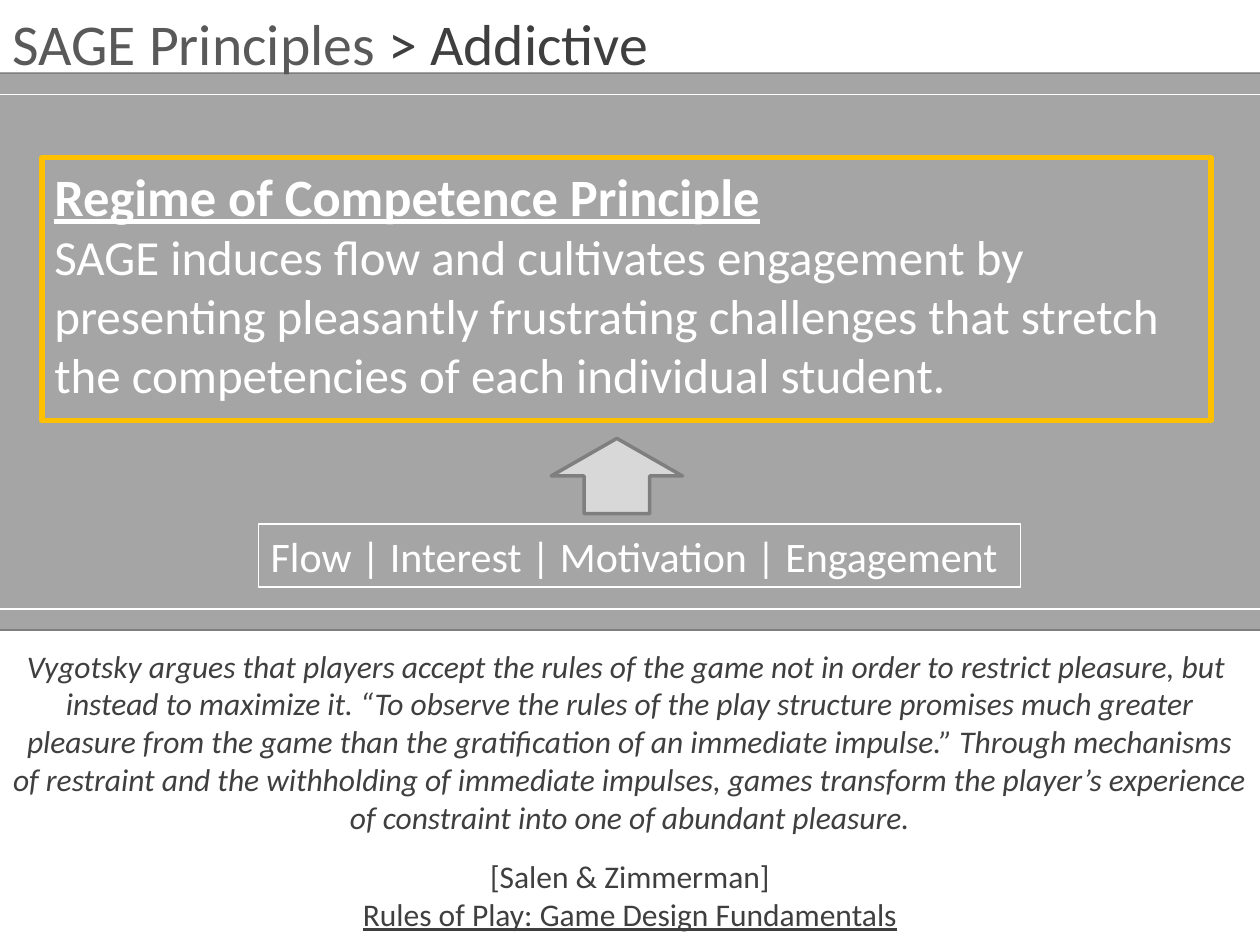
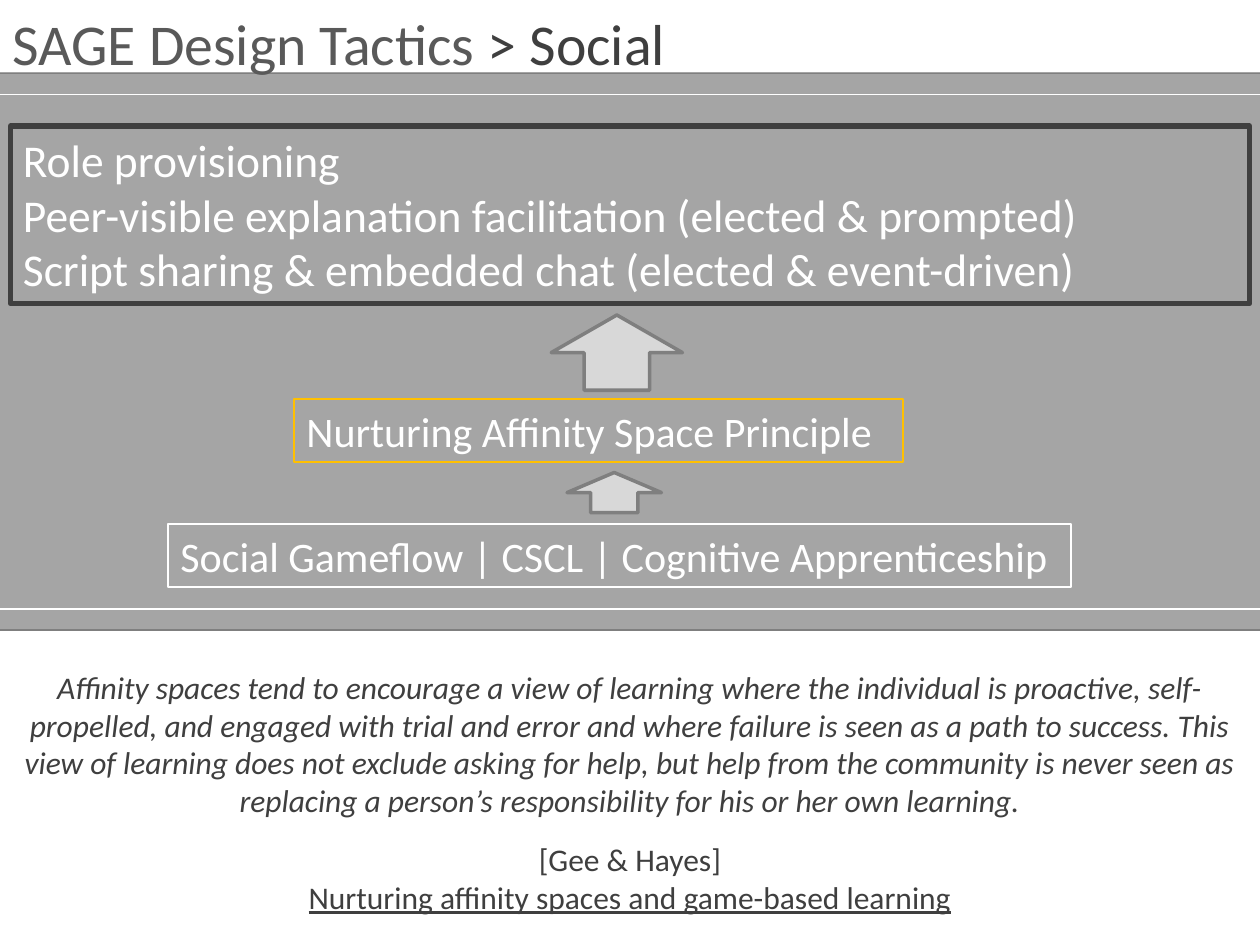
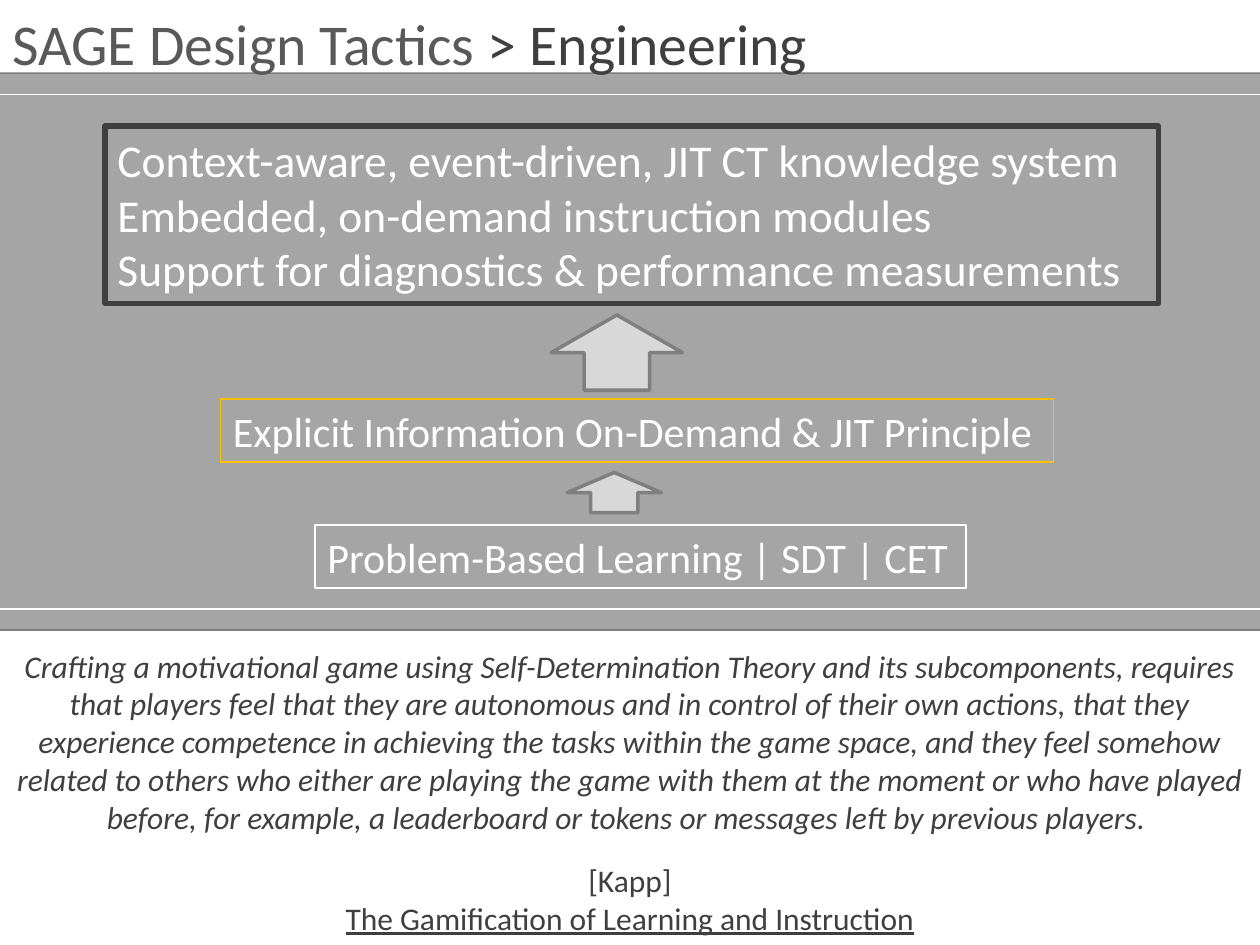
"""Build three slides on the principles and design tactics of SAGE."""
from lxml import etree
from pptx import Presentation
from pptx.dml.color import RGBColor
from pptx.enum.shapes import MSO_CONNECTOR, MSO_SHAPE
from pptx.enum.text import MSO_ANCHOR, PP_ALIGN
from pptx.oxml.ns import qn
from pptx.util import Pt

RECT, ARROW = MSO_SHAPE.RECTANGLE, MSO_SHAPE.UP_ARROW
LINE = MSO_CONNECTOR.STRAIGHT
TOP, LEFT, CENTER = MSO_ANCHOR.TOP, PP_ALIGN.LEFT, PP_ALIGN.CENTER


class Theme:
    font = "Calibri"
    white, band, dark, lead = "FFFFFF", "A5A5A5", "3F3F3F", "595959"
    edge, gold, pale = "7F7F7F", "FFC000", "D8D8D8"
    title = {"size": Pt(33)}
    quote = {"size": Pt(18), "italic": True}
    credit = {"size": Pt(18)}
    source = {"size": Pt(18), "underline": True}
    head = {"size": Pt(30), "bold": True, "underline": True}
    body = {"size": Pt(28)}
    tactic = {"size": Pt(26)}
    label = {"size": Pt(24)}


def write(shape, paras, align=LEFT):
    """Fill a shape with paragraphs, each a gap and a list of styled runs."""
    frame = shape.text_frame
    frame.word_wrap = True
    frame.vertical_anchor = TOP
    for index, (gap, runs) in enumerate(paras):
        para = frame.add_paragraph() if index else frame.paragraphs[0]
        para.alignment = align
        if gap:
            para.space_before = Pt(gap)
        for text, color, style in runs:
            run = para.add_run()
            run.text = text
            run.font.color.rgb = RGBColor.from_string(color)
            for key, value in {"name": Theme.font, **style}.items():
                setattr(run.font, key, value)


def draw(shapes, kind, place, fill, edge, weight):
    """Add a preset shape with the given fill and outline."""
    shape = shapes.add_shape(kind, *map(Pt, place))
    shape.shadow.inherit = False
    if fill:
        shape.fill.solid()
        shape.fill.fore_color.rgb = RGBColor.from_string(fill)
    else:
        shape.fill.background()
    shape.line.color.rgb = RGBColor.from_string(edge)
    shape.line.width = Pt(weight)
    return shape


RULES = [(54, Theme.white), (348, Theme.white), (42, Theme.edge), (360, Theme.edge)]
SMALL = (324, 270, 54, 23)
LARGE = (315, 180, 75, 43)

SLIDES = [
    {
        "title": ("SAGE Principles ", "> Addictive"),
        "top": 366, "height": 172, "gap": 12.2,
        "quote": [
            "Vygotsky argues that players accept the rules of the game not in order "
            "to restrict pleasure, but ",
            "instead to maximize it. “To observe the rules of the play structure "
            "promises much greater pleasure from the game than the gratification of "
            "an immediate impulse.” Through mechanisms of restraint and the "
            "withholding of immediate impulses, games transform the player’s "
            "experience of constraint into one of abundant pleasure.",
        ],
        "credit": "[Salen & Zimmerman]",
        "source": "Rules of Play: Game Design Fundamentals",
        "arrows": [(315, 250.5, 75, 43)],
        "boxes": [
            ((24, 90, 668, 150.5), Theme.gold, 3, [
                ("Regime of Competence Principle", Theme.head),
                ("SAGE induces flow and cultivates engagement by presenting "
                 "pleasantly frustrating challenges that stretch the competencies "
                 "of each individual student.", Theme.body)]),
            ((147.6, 299.5, 435.6, 36), Theme.white, 0.75, [
                ("Flow | Interest | Motivation | Engagement", Theme.label)]),
        ],
    },
    {
        "title": ("SAGE Design Tactics ", "> Social"),
        "top": 378, "height": 150.5, "gap": 12.2,
        "quote": [
            "Affinity spaces tend to encourage a view of learning where the "
            "individual is proactive, self-propelled, and engaged with trial and "
            "error and where failure is seen as a path to success. This view of "
            "learning does not exclude asking for help, but help from the community "
            "is never seen as replacing a person’s responsibility for his or her "
            "own learning.",
        ],
        "credit": "[Gee & Hayes]",
        "source": "Nurturing affinity spaces and game-based learning",
        "arrows": [SMALL, LARGE],
        "boxes": [
            ((168, 228, 348, 36), Theme.gold, 1, [
                ("Nurturing Affinity Space Principle", Theme.label)]),
            ((96, 299.5, 516, 36), Theme.white, 0.75, [
                ("Social Gameflow | CSCL | Cognitive Apprenticeship", Theme.label)]),
            ((6, 72, 708, 101.5), Theme.dark, 3, [
                ("Role provisioning", Theme.tactic),
                ("Peer-visible explanation facilitation (elected & prompted)",
                 Theme.tactic),
                ("Script sharing & embedded chat (elected & event-driven)",
                 Theme.tactic)]),
        ],
    },
    {
        "title": ("SAGE Design Tactics ", "> Engineering"),
        "top": 366, "height": 174, "gap": 14.6,
        "quote": [
            "Crafting a motivational game using Self-Determination Theory and its "
            "subcomponents, requires that players feel that they are autonomous and "
            "in control of their own actions, that they experience competence in "
            "achieving the tasks within the game space, and they feel somehow "
            "related to others who either are playing the game with them at the "
            "moment or who have played before, for example, a leaderboard or tokens "
            "or messages left by previous players. ",
        ],
        "credit": "[Kapp]",
        "source": "The Gamification of Learning and Instruction",
        "arrows": [SMALL, LARGE],
        "boxes": [
            ((126, 228, 476, 36), Theme.gold, 1, [
                ("Explicit Information On-Demand & JIT Principle", Theme.label)]),
            ((60, 72, 602, 101.5), Theme.dark, 3, [
                ("Context-aware, event-driven, JIT CT knowledge system",
                 Theme.tactic),
                ("Embedded, on-demand instruction modules", Theme.tactic),
                ("Support for diagnostics & performance measurements",
                 Theme.tactic)]),
            ((180, 300, 372, 36), Theme.white, 0.75, [
                ("Problem-Based Learning | SDT | CET", Theme.label)]),
        ],
    },
]

deck = Presentation()
deck.slide_width, deck.slide_height = Pt(720), Pt(540)

for data in SLIDES:
    shapes = deck.slides.add_slide(deck.slide_layouts[6]).shapes

    group = shapes.add_group_shape().shapes
    draw(group, RECT, (0, 42, 720, 317), Theme.band, Theme.band, 2)
    for level, color in RULES:
        rule = group.add_connector(LINE, Pt(0), Pt(level), Pt(720), Pt(level))
        rule.line.color.rgb = RGBColor.from_string(color)
        rule.line.width = Pt(0.75)
        etree.SubElement(rule._element.spPr, qn("a:effectLst"))

    lead, topic = data["title"]
    title = shapes.add_textbox(Pt(0), Pt(1), Pt(726), Pt(87))
    write(title, [(0, [(lead, Theme.lead, Theme.title),
                       (topic, Theme.dark, Theme.title)])])

    quote = shapes.add_textbox(Pt(0), Pt(data["top"]), Pt(720), Pt(data["height"]))
    paras = [(0, [(text, Theme.dark, Theme.quote)]) for text in data["quote"]]
    paras.append((data["gap"], [(data["credit"], Theme.dark, Theme.credit)]))
    paras.append((0, [(data["source"], Theme.dark, Theme.source)]))
    write(quote, paras, CENTER)

    for place, edge, weight, lines in data["boxes"]:
        box = draw(shapes, RECT, place, None, edge, weight)
        write(box, [(0, [(text, Theme.white, style)]) for text, style in lines])

    for place in data["arrows"]:
        draw(shapes, ARROW, place, Theme.pale, Theme.edge, 2)

deck.save("out.pptx")
